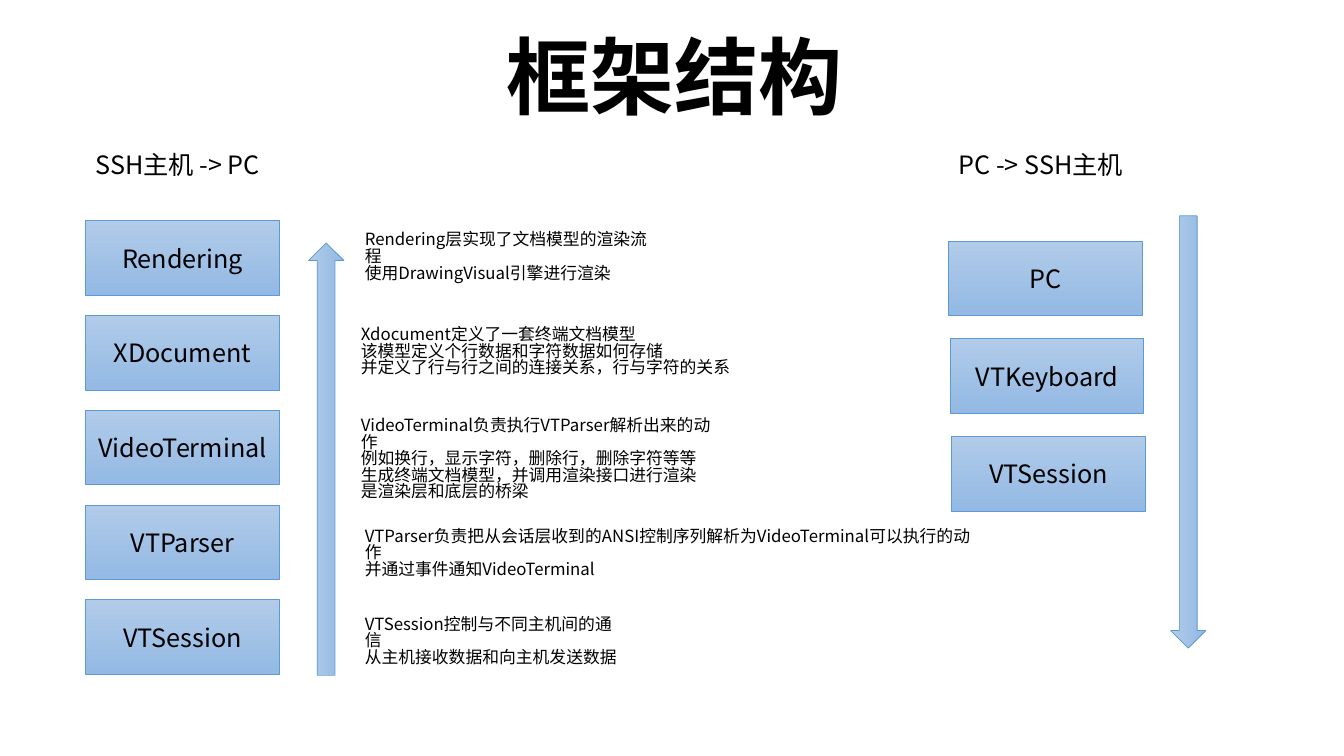
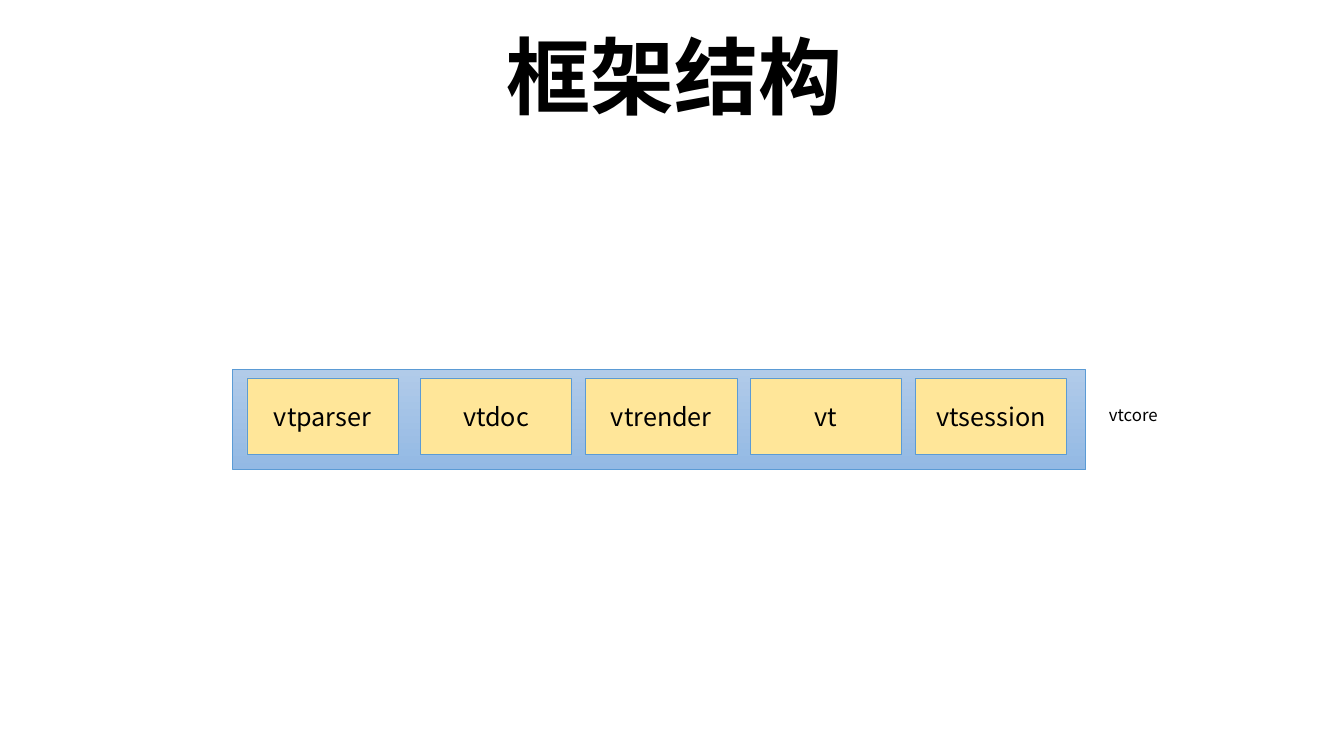
import pptx
import pptx.util
import pptx.dml.color
import pptx.enum.shapes
import pptx.enum.text
import lxml.etree
import pptx.oxml.ns

WIDE, HIGH = 13.33, 7.5
FONT = "Noto Sans CJK SC"
HUES = {"ink": "000000", "edge": "5B9BD5", "top": "B1CBE9",
        "low": "93B9E4", "gold": "FFE699"}
TIGHT = 0.82  # line pitch of running text
KINDS = pptx.enum.shapes.MSO_SHAPE
ALIGN = pptx.enum.text.PP_ALIGN
ANCHOR = pptx.enum.text.MSO_ANCHOR

# Flow slide: label, left of stack, first row, row pitch, sideways step, layers
STACK_IN = ("SSH主机 -> PC", 0.85, 2.19, 0.94, 0,
            ["Rendering", "XDocument", "VideoTerminal", "VTParser", "VTSession"])
STACK_OUT = ("PC -> SSH主机", 9.41, 2.39, 0.97, 0.015,
             ["PC", "VTKeyboard", "VTSession"])
# Left, top, width, height, lines
NOTES = [
    (3.52, 2.26, 3.15, 0.5, ["Rendering层实现了文档模型的渲染流程",
                             "使用DrawingVisual引擎进行渲染"]),
    (3.48, 3.2, 3.9, 0.71, ["Xdocument定义了一套终端文档模型",
                            "该模型定义个行数据和字符数据如何存储",
                            "并定义了行与行之间的连接关系，行与字符的关系"]),
    (3.48, 4.1, 3.82, 0.91, ["VideoTerminal负责执行VTParser解析出来的动作",
                             "例如换行，显示字符，删除行，删除字符等等",
                             "生成终端文档模型，并调用渲染接口进行渲染",
                             "是渲染层和底层的桥梁"]),
    (3.52, 5.2, 6.34, 0.5,
     ["VTParser负责把从会话层收到的ANSI控制序列解析为VideoTerminal可以执行的动作",
      "并通过事件通知VideoTerminal"]),
    (3.52, 6.07, 2.81, 0.5, ["VTSession控制与不同主机间的通信",
                             "从主机接收数据和向主机发送数据"]),
]
# Core slide: modules with their offset inside the frame
PARTS = [("vtparser", 0.14), ("vtdoc", 1.86), ("vtrender", 3.5),
         ("vt", 5.13), ("vtsession", 6.77)]


def tint(name):
    return pptx.dml.color.RGBColor.from_string(HUES[name])


def place(box):
    return [pptx.util.Inches(x) for x in box]


def write(frame, lines, size, align, anchor, pitch=None, bold=False):
    frame.word_wrap = True
    frame.vertical_anchor = anchor
    for i, line in enumerate(lines):
        para = frame.paragraphs[0] if i == 0 else frame.add_paragraph()
        para.alignment = align
        if pitch:
            para.line_spacing = pitch
        run = para.add_run()
        run.text = line
        font = run.font
        font.name, font.size, font.bold = FONT, pptx.util.Pt(size), bold
        font.color.rgb = tint("ink")
        # East Asian face
        face = lxml.etree.SubElement(run._r.get_or_add_rPr(),
                                     pptx.oxml.ns.qn("a:ea"))
        face.set("typeface", FONT)


def text(slide, box, lines, size=12):
    area = slide.shapes.add_textbox(*place(box))
    write(area.text_frame, lines, size, ALIGN.LEFT, ANCHOR.TOP, TIGHT)


def block(slide, box, label=None, hue=None, kind=KINDS.RECTANGLE, angle=270):
    shape = slide.shapes.add_shape(kind, *place(box))
    shape.shadow.inherit = False
    if hue:
        shape.fill.solid()
        shape.fill.fore_color.rgb = tint(hue)
    else:
        shape.fill.gradient()
        shape.fill.gradient_angle = angle
        for stop, name in zip(shape.fill.gradient_stops, ("top", "low")):
            stop.color.rgb = tint(name)
    shape.line.color.rgb = tint("edge")
    shape.line.width = pptx.util.Pt(0.5)
    if label:
        write(shape.text_frame, [label], 18, ALIGN.CENTER, ANCHOR.MIDDLE)


def start(deck, title):
    slide = deck.slides.add_slide(deck.slide_layouts[6])
    area = slide.shapes.add_textbox(*place((0.94, -0.14, 11.5, 1.45)))
    write(area.text_frame, [title], 60, ALIGN.CENTER, ANCHOR.BOTTOM, 0.9, True)
    return slide


def stack(slide, label, left, top, pitch, step, names):
    text(slide, (left, 1.49, 1.87, 0.4), [label], 18)
    for i, name in enumerate(names):
        block(slide, (left + i * step, top + i * pitch, 1.92, 0.74), name)


def flow(deck):
    slide = start(deck, "框架结构")
    stack(slide, *STACK_IN)
    stack(slide, *STACK_OUT)
    # Direction arrows
    block(slide, (3.06, 2.41, 0.35, 4.29), kind=KINDS.UP_ARROW, angle=0)
    block(slide, (11.61, 2.14, 0.35, 4.29), kind=KINDS.DOWN_ARROW, angle=0)
    for *box, lines in NOTES:
        text(slide, box, lines)


def core(deck):
    slide = start(deck, "框架结构")
    left, top, wide, high = 2.31, 3.66, 8.46, 1
    block(slide, (left, top, wide, high))
    for name, shift in PARTS:
        block(slide, (left + shift, top + 0.09, 1.5, 0.76), name, "gold")
    text(slide, (left + wide + 0.13, top + 0.34, 0.71, 0.3), ["vtcore"])


def main():
    deck = pptx.Presentation()
    deck.slide_width, deck.slide_height = place((WIDE, HIGH))
    flow(deck)
    core(deck)
    deck.save("out.pptx")


if __name__ == "__main__":
    main()
